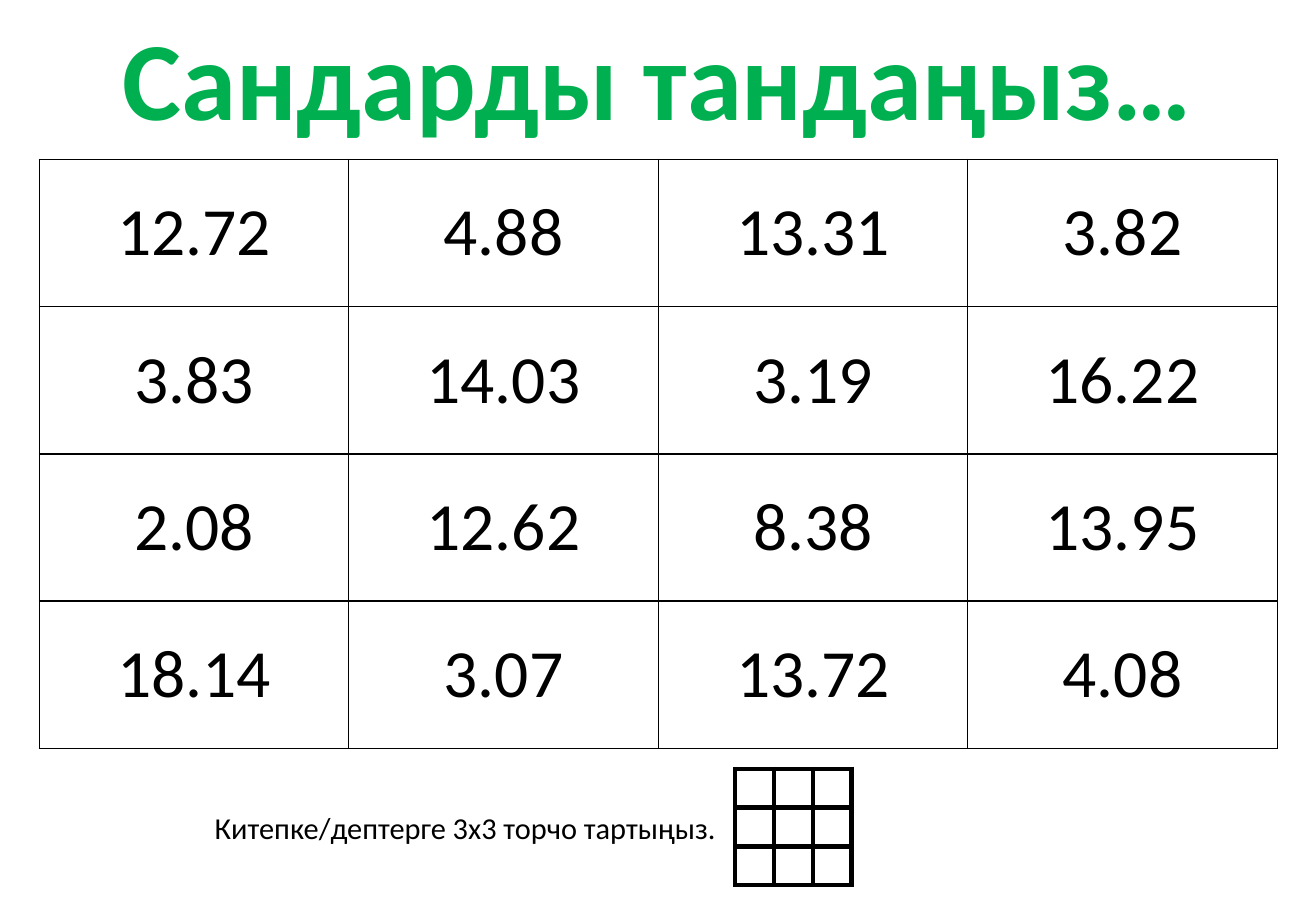
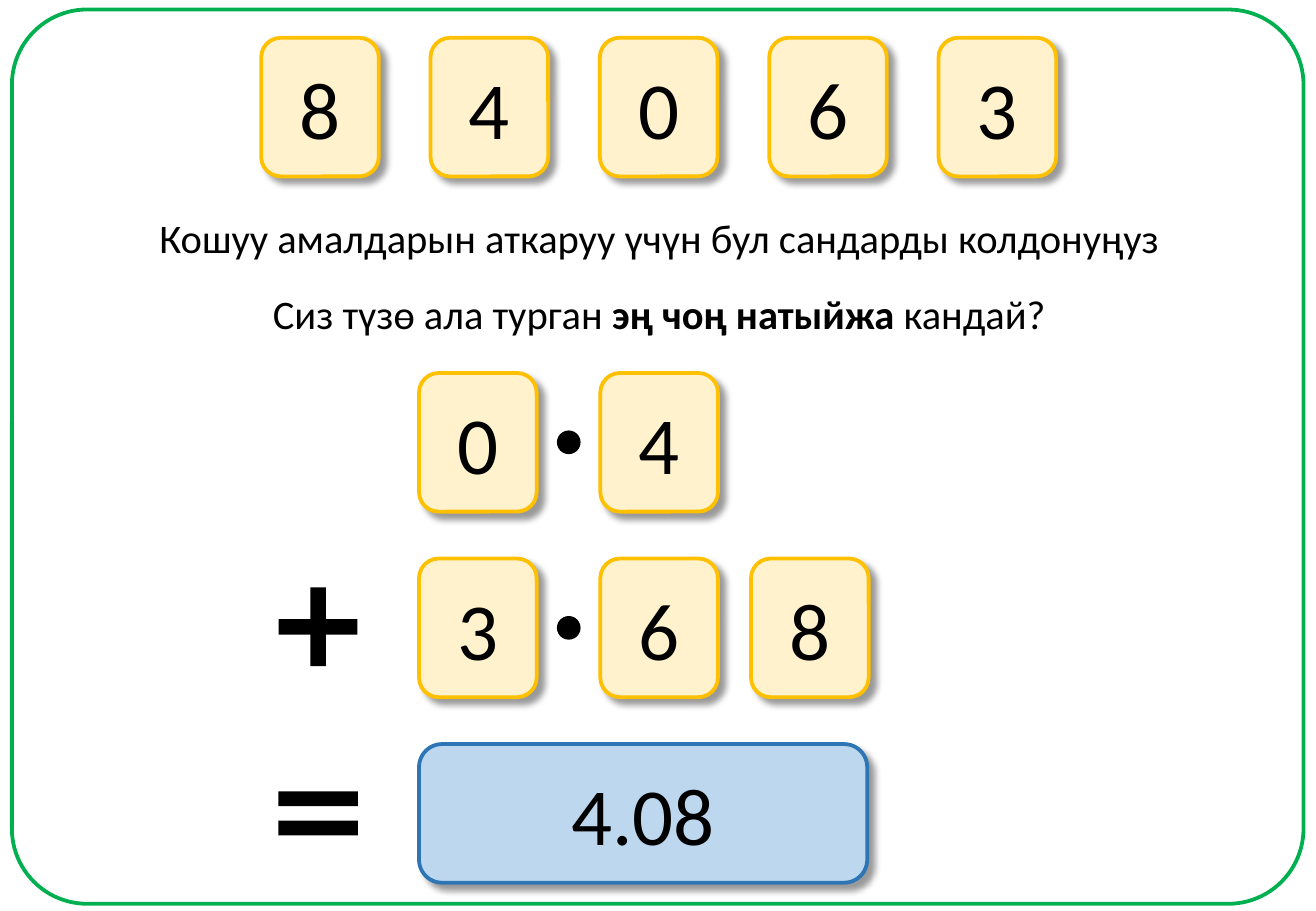
import dataclasses
import pptx
import pptx.dml.color
import pptx.enum.shapes
import pptx.enum.text
import pptx.oxml.ns
import pptx.util
from lxml import etree

Cm = pptx.util.Cm
Pt = pptx.util.Pt
Kind = pptx.enum.shapes.MSO_SHAPE
Align = pptx.enum.text.PP_ALIGN
Anchor = pptx.enum.text.MSO_ANCHOR
qn = pptx.oxml.ns.qn


@dataclasses.dataclass(frozen=True)
class Theme:
    font: str = "Calibri"
    ink: str = "000000"
    paper: str = "FFFFFF"
    green: str = "00B050"
    cream: str = "FFF2CC"
    gold: str = "FFC000"
    sky: str = "BDD7EE"
    blue: str = "2E75B6"
    head: int = 66
    digit: int = 48
    grid: int = 40
    body: int = 24
    note: int = 18
    tiny: int = 10
    edge: float = 2.25


def color(code):
    return pptx.dml.color.RGBColor.from_string(code)


def paint(parent, code):
    """Add a solid fill element."""
    fill = etree.SubElement(parent, qn("a:solidFill"))
    etree.SubElement(fill, qn("a:srgbClr"), val=code)


class Deck:
    def __init__(self, theme, width, height):
        self.theme = theme
        self.file = pptx.Presentation()
        self.file.slide_width = Cm(width)
        self.file.slide_height = Cm(height)
        self.slide = None

    def start(self):
        self.slide = self.file.slides.add_slide(self.file.slide_layouts[5])

    def style(self, par, size, tint=None, bold=False, align=Align.CENTER):
        par.alignment = align
        par.font.name = self.theme.font
        par.font.size = Pt(size)
        par.font.bold = bold
        par.font.color.rgb = color(tint or self.theme.ink)

    def label(self, frame, runs, size, wrap=False, **look):
        """Fill a text frame with (text, bold) runs or one plain string."""
        frame.word_wrap = wrap
        frame.auto_size = pptx.enum.text.MSO_AUTO_SIZE.NONE
        frame.vertical_anchor = Anchor.MIDDLE
        par = frame.paragraphs[0]
        if isinstance(runs, str):
            par.text = runs
        else:
            for words, bold in runs:
                run = par.add_run()
                run.text = words
                if bold:
                    run.font.bold = True
        self.style(par, size, **look)

    def title(self, words, box, size, **look):
        shape = self.slide.shapes.title
        shape.left, shape.top, shape.width, shape.height = map(Cm, box)
        self.label(shape.text_frame, words, size, **look)

    def text(self, runs, box, size, **look):
        shape = self.slide.shapes.add_textbox(*map(Cm, box))
        self.label(shape.text_frame, runs, size, **look)

    def shape(self, kind, box, fill=None, line=None, width=None, adjust=()):
        shape = self.slide.shapes.add_shape(kind, *map(Cm, box))
        shape.shadow.inherit = False
        if fill:
            shape.fill.solid()
            shape.fill.fore_color.rgb = color(fill)
        else:
            shape.fill.background()
        if line:
            shape.line.color.rgb = color(line)
            shape.line.width = Pt(width or self.theme.edge)
        else:
            shape.line.fill.background()
        for i, value in enumerate(adjust):
            shape.adjustments[i] = value
        return shape

    def card(self, words, box, fill=None, line=None):
        """Rounded card with a soft shadow and a large number."""
        look = self.theme
        shape = self.shape(Kind.ROUNDED_RECTANGLE, box,
                           fill or look.cream, line or look.gold)
        effects = shape._element.spPr.find(qn("a:effectLst"))
        shadow = etree.SubElement(
            effects, qn("a:outerShdw"), blurRad=str(Pt(4)), dist=str(Pt(5)),
            dir="2700000", algn="tl", rotWithShape="0")
        tint = etree.SubElement(shadow, qn("a:srgbClr"), val=look.ink)
        etree.SubElement(tint, qn("a:alpha"), val="40000")
        self.label(shape.text_frame, words, look.digit, wrap=True)

    def table(self, rows, left, top, wide, high, size, border):
        """Plain ruled grid whose cells are all wide by high."""
        count = len(rows[0])
        table = self.slide.shapes.add_table(
            len(rows), count, Cm(left), Cm(top),
            Cm(wide * count), Cm(high * len(rows))).table
        table.first_row = table.horz_banding = False
        for col in table.columns:
            col.width = Cm(wide)
        for row, words in zip(table.rows, rows):
            row.height = Cm(high)
            for cell, word in zip(row.cells, words):
                self.cell(cell, word, size, border)

    def cell(self, cell, word, size, border):
        cell.margin_left = cell.margin_right = 0
        cell.margin_top = cell.margin_bottom = 0
        cell.vertical_anchor = Anchor.MIDDLE
        for side in ("a:lnL", "a:lnR", "a:lnT", "a:lnB"):
            line = etree.SubElement(cell._tc.get_or_add_tcPr(), qn(side),
                                    w=str(Pt(border)))
            paint(line, self.theme.ink)
        cell.fill.solid()
        cell.fill.fore_color.rgb = color(self.theme.paper)
        par = cell.text_frame.paragraphs[0]
        if word:
            par.text = word
        self.style(par, size)


def choose(deck):
    look = deck.theme
    deck.start()
    deck.title("Сандарды тандаңыз…", (2.01, 0.05, 23.47, 3.07), look.head,
               tint=look.green, bold=True)

    # Numbers to choose from
    rows = [("12.72", "4.88", "13.31", "3.82"),
            ("3.83", "14.03", "3.19", "16.22"),
            ("2.08", "12.62", "8.38", "13.95"),
            ("18.14", "3.07", "13.72", "4.08")]
    deck.table(rows, 0.82, 3.33, 6.47, 3.08, look.grid, 1)

    # Task and blank 3 by 3 grid
    deck.text("Китепке/дептерге 3х3 торчо тартыңыз.",
              (4.24, 16.79, 11.13, 1.02), look.note, align=Align.LEFT)
    deck.table([[""] * 3] * 3, 15.37, 16.08, 0.81, 0.81, look.tiny, 3)


def add(deck):
    look = deck.theme
    wide, high = 2.46, 2.9
    deck.start()
    deck.shape(Kind.ROUNDED_RECTANGLE, (0.25, 0.2, 27, 18.7),
               line=look.green, adjust=[0.084])

    # Digits to use
    for i, digit in enumerate("84063"):
        deck.card(digit, (5.46 + 3.54 * i, 0.79, wide, high))

    # Instructions
    deck.title("Кошуу амалдарын аткаруу үчүн бул сандарды колдонуңуз",
               (2.97, 4.32, 21.62, 1.27), look.body)
    deck.text([("Сиз түзө ала турган ", False), ("эң чоң натыйжа ", True),
               ("кандай?", False)], (2.97, 5.92, 21.62, 1.27), look.body)

    # The two numbers being added
    cols = (8.76, 12.55, 15.7)
    tops = [7.8 + 3.88 * i for i in range(3)]
    for digits, top in zip(("04", "368"), tops):
        for digit, left in zip(digits, cols):
            deck.card(digit, (left, top, wide, high))
        deck.shape(Kind.OVAL, (11.66, top + 1.22, 0.46, 0.46),
                   look.ink, look.ink, 1)

    # Signs and answer
    deck.shape(Kind.MATH_PLUS, (5.53, tops[1] + 0.31, 2.24, 2.24),
               look.ink, adjust=[0.144])
    deck.shape(Kind.MATH_EQUAL, (5.52, tops[2] + 0.18, 2.26, 2.54),
               look.ink, adjust=[0.123, 0.118])
    deck.card("4.08", (cols[0], tops[2], 9.37, high), look.sky, look.blue)


def main():
    deck = Deck(Theme(), 27.51, 19.05)
    choose(deck)
    add(deck)
    deck.file.save("out.pptx")


if __name__ == "__main__":
    main()
